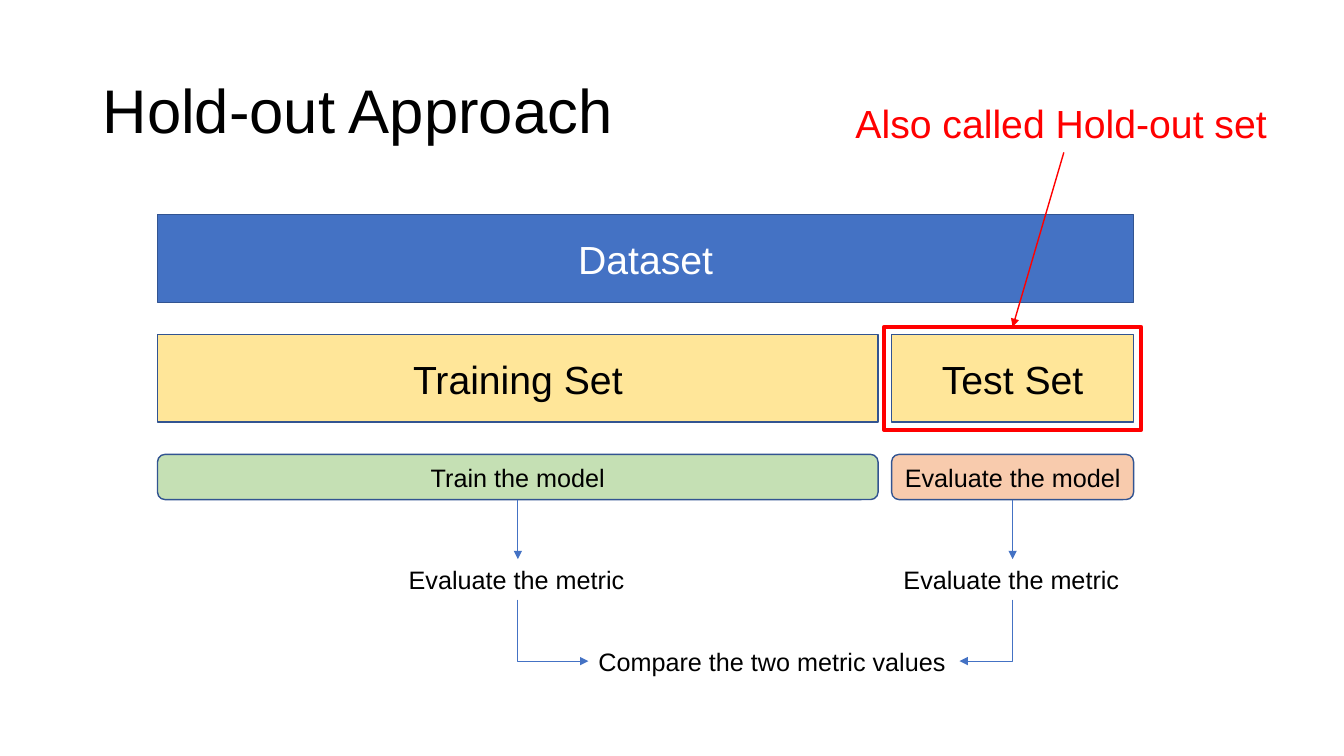
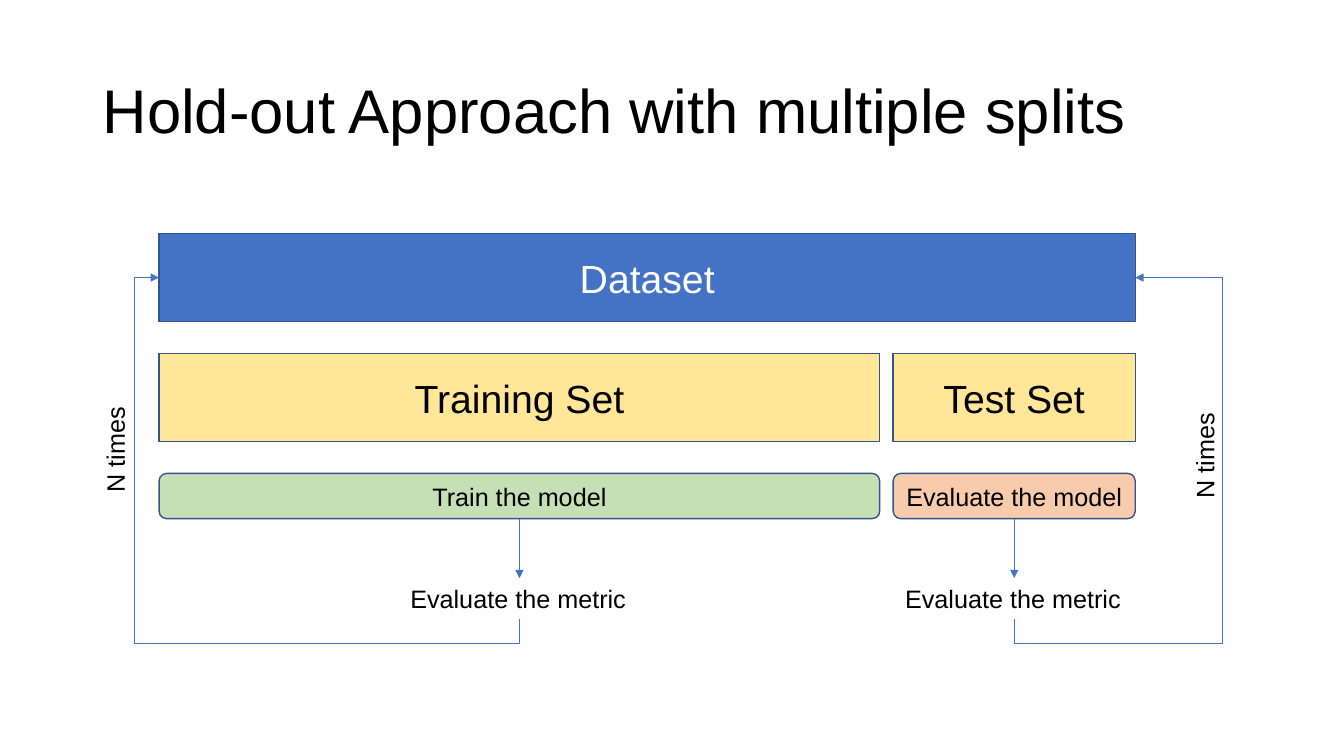
from pptx import Presentation
from pptx.dml.color import RGBColor
from pptx.enum.shapes import MSO_CONNECTOR, MSO_SHAPE
from pptx.enum.text import MSO_ANCHOR, MSO_AUTO_SIZE, PP_ALIGN
from pptx.oxml.ns import qn
from pptx.util import Cm, Pt
from lxml.etree import SubElement

FONT = "Arial"
COLOURS = {name: RGBColor.from_string(value) for name, value in {
    "black": "000000", "white": "FFFFFF", "red": "FF0000", "blue": "4472C4",
    "outline": "325491", "yellow": "FFE699", "green": "C5E0B4", "orange": "F8CBAD",
}.items()}
TOP, LEFT, BOTTOM, RIGHT = range(4)  # connection sites

# Diagram measures in centimetres
TRAINING_WIDTH, TEST_WIDTH, COLUMN_GAP = 18.16, 6.1, 0.34
DATASET_WIDTH = TRAINING_WIDTH + COLUMN_GAP + TEST_WIDTH
BAR_HEIGHT, STEP_HEIGHT, ROW_PITCH = 2.21, 1.14, 3.02
METRIC_WIDTH, TEXT_HEIGHT, METRIC_OFFSET = 6, 1.02, 8.68
FRAME_MARGIN = 0.19


def add_block(slide, box, text, size, colour="black", fill=None, kind=MSO_SHAPE.RECTANGLE):
    """Add a filled, outlined shape, or a plain text box when there is no fill."""
    lengths = [Cm(length) for length in box]
    if fill:
        shape = slide.shapes.add_shape(kind, *lengths)
        shape.shadow.inherit = False
        shape.fill.solid()
        shape.fill.fore_color.rgb = COLOURS[fill]
        shape.line.color.rgb = COLOURS["outline"]
        shape.line.width = Pt(1)
    else:
        shape = slide.shapes.add_textbox(*lengths)
    frame = shape.text_frame
    frame.word_wrap = bool(fill)
    paragraph = frame.paragraphs[0]
    if fill:
        frame.vertical_anchor = MSO_ANCHOR.MIDDLE
        paragraph.alignment = PP_ALIGN.CENTER
    else:
        frame.auto_size = MSO_AUTO_SIZE.SHAPE_TO_FIT_TEXT
    run = paragraph.add_run()
    run.text = text
    run.font.name = FONT
    run.font.size = Pt(size)
    run.font.color.rgb = COLOURS[colour]
    return shape


def add_arrow(slide, source, target, site=TOP, colour="blue", width=0.5, detour=None):
    """Join the bottom of source to a site of target.

    Side sites get an elbow that leaves downwards. A detour (drop below the
    source, reach beyond the target) leads it around the diagram.
    """
    straight = site == TOP
    kind = MSO_CONNECTOR.STRAIGHT if straight else MSO_CONNECTOR.ELBOW
    connector = slide.shapes.add_connector(kind, 0, 0, 0, 0)
    connector.begin_connect(source, BOTTOM)
    connector.end_connect(target, site)
    connector.line.color.rgb = COLOURS[colour]
    connector.line.width = Pt(width)
    SubElement(connector.get_or_add_ln(), qn("a:tailEnd"), type="triangle")
    properties = connector.element.spPr
    SubElement(properties, qn("a:effectLst"))
    if straight:
        return

    across = connector.end_x - connector.begin_x
    down = connector.end_y - connector.begin_y
    middle_x = (connector.begin_x + connector.end_x) // 2
    middle_y = (connector.begin_y + connector.end_y) // 2
    connector.width, connector.height = abs(down), abs(across)
    connector.left = middle_x - abs(down) // 2
    connector.top = middle_y - abs(across) // 2
    turned_back = across > 0 and down > 0
    transform = properties.find(qn("a:xfrm"))
    transform.set("rot", str((270 if turned_back else 90) * 60000))
    transform.set("flipH", str(int(turned_back or down < 0)))
    transform.set("flipV", str(int(across > 0 and down < 0)))
    geometry = properties.find(qn("a:prstGeom"))
    geometry.set("prst", "bentConnector4" if detour else "bentConnector2")
    if detour:
        drop, reach = detour
        ratios = (-Cm(drop) / abs(down), 1 + Cm(reach) / abs(across))
        for number, ratio in enumerate(ratios, start=1):
            SubElement(geometry.find(qn("a:avLst")), qn("a:gd"),
                       name=f"adj{number}", fmla=f"val {round(ratio * 100000)}")


presentation = Presentation()
presentation.slide_width, presentation.slide_height = Cm(33.87), Cm(19.05)

# Both slides: title, dataset, split columns and metrics
diagrams = []
for title_text, left, top in (
    ("Hold-out Approach", 3.97, 5.41),
    ("Hold-out Approach with multiple splits", 4.01, 5.89),
):
    slide = presentation.slides.add_slide(presentation.slide_layouts[5])
    title = slide.shapes.title
    title.left, title.top, title.width, title.height = Cm(2.33), Cm(1.01), Cm(29.21), Cm(3.68)
    title.text_frame.vertical_anchor = MSO_ANCHOR.MIDDLE
    title.text_frame.auto_size = MSO_AUTO_SIZE.NONE
    paragraph = title.text_frame.paragraphs[0]
    paragraph.alignment = PP_ALIGN.LEFT
    paragraph.line_spacing = 0.9
    run = paragraph.add_run()
    run.text = title_text
    run.font.name = FONT
    run.font.size = Pt(44)
    run.font.color.rgb = COLOURS["black"]

    dataset = add_block(slide, (left, top, DATASET_WIDTH, BAR_HEIGHT),
                        "Dataset", 28, "white", "blue")
    test_left = left + TRAINING_WIDTH + COLUMN_GAP
    metrics = []
    for column_left, width, set_name, step_name, step_fill in (
        (left, TRAINING_WIDTH, "Training Set", "Train the model", "green"),
        (test_left, TEST_WIDTH, "Test Set", "Evaluate the model", "orange"),
    ):
        add_block(slide, (column_left, top + ROW_PITCH, width, BAR_HEIGHT),
                  set_name, 28, fill="yellow")
        step = add_block(slide, (column_left, top + 2 * ROW_PITCH, width, STEP_HEIGHT),
                         step_name, 18, fill=step_fill, kind=MSO_SHAPE.ROUNDED_RECTANGLE)
        metric_left = column_left + (width - METRIC_WIDTH) / 2
        metric = add_block(slide, (metric_left, top + METRIC_OFFSET, METRIC_WIDTH, TEXT_HEIGHT),
                           "Evaluate the metric", 18)
        add_arrow(slide, step, metric)
        metrics.append(metric)
    diagrams.append((slide, dataset, metrics, test_left, top + ROW_PITCH))

# Slide 1: marked test set and comparison of the metrics
slide, dataset, metrics, test_left, test_top = diagrams[0]
test_frame = slide.shapes.add_shape(
    MSO_SHAPE.RECTANGLE, Cm(test_left - FRAME_MARGIN), Cm(test_top - FRAME_MARGIN),
    Cm(TEST_WIDTH + 2 * FRAME_MARGIN), Cm(BAR_HEIGHT + 2 * FRAME_MARGIN))
test_frame.shadow.inherit = False
test_frame.fill.background()
test_frame.line.color.rgb = COLOURS["red"]
test_frame.line.width = Pt(3)
callout = add_block(slide, (21.31, 2.39, 11, 1.45), "Also called Hold-out set", 28, "red")
add_arrow(slide, callout, test_frame, colour="red", width=1)
comparison = add_block(slide, (14.83, 16.15, 9.35, TEXT_HEIGHT),
                       "Compare the two metric values", 18)
for metric, site in zip(metrics, (LEFT, RIGHT)):
    add_arrow(slide, metric, comparison, site)

# Slide 2: loops back to the dataset
slide, dataset, metrics, *_ = diagrams[1]
for metric, site, reach, label_left, label_top in (
    (metrics[0], LEFT, 0.63, 1.55, 10.8),
    (metrics[1], RIGHT, 2.2, 29.01, 10.95),
):
    add_arrow(slide, metric, dataset, site, detour=(0.63, reach))
    label = add_block(slide, (label_left, label_top, 2.69, TEXT_HEIGHT), "N times", 18)
    label.rotation = 270

presentation.save("out.pptx")
